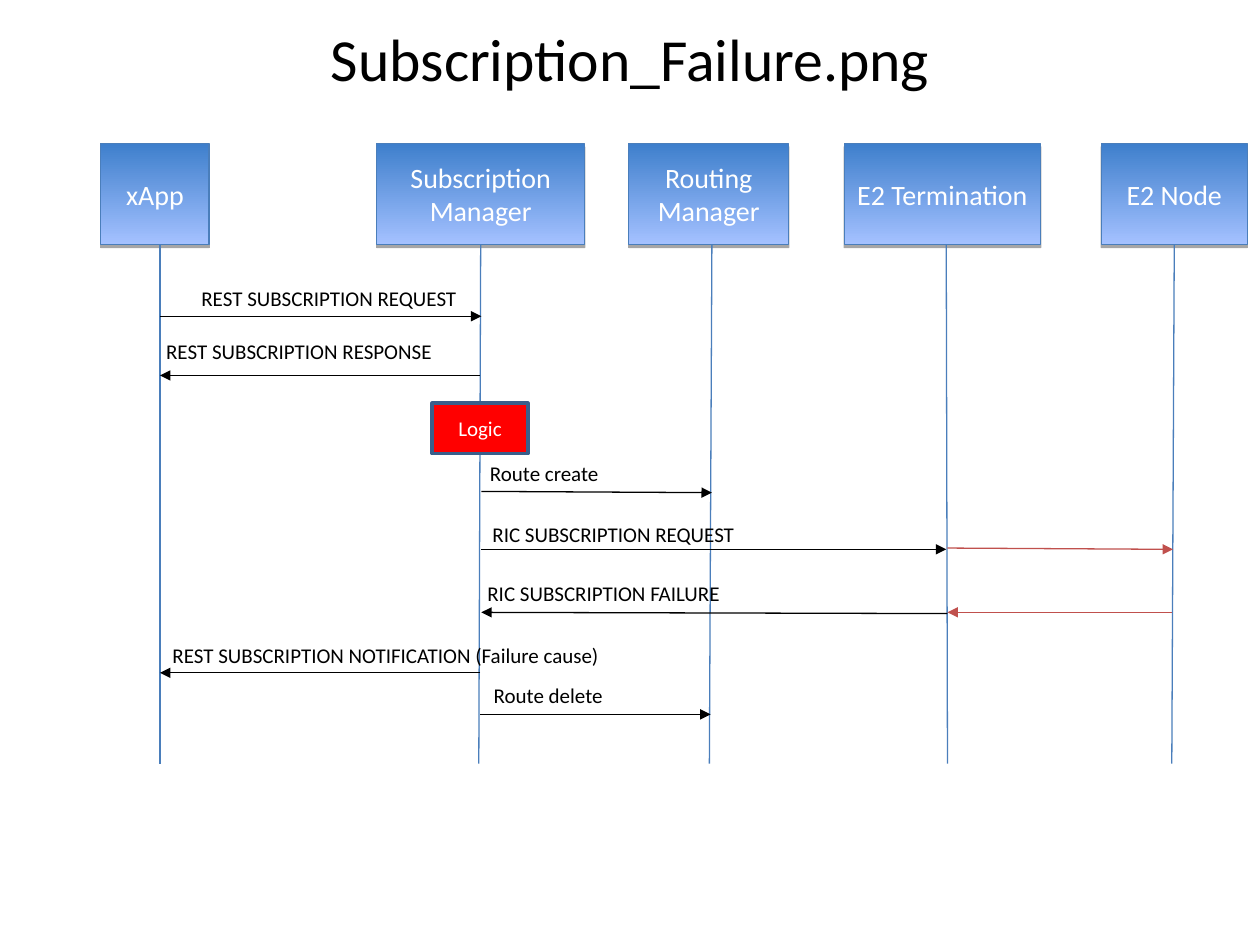
from lxml import etree
from pptx import Presentation
from pptx.dml.color import RGBColor
from pptx.enum.shapes import MSO_CONNECTOR, MSO_SHAPE
from pptx.enum.text import MSO_ANCHOR, MSO_AUTO_SIZE, PP_ALIGN
from pptx.oxml import parse_xml
from pptx.oxml.ns import nsdecls, qn
from pptx.util import Inches, Pt

STRAIGHT = MSO_CONNECTOR.STRAIGHT
RECTANGLE = MSO_SHAPE.RECTANGLE
MIDDLE = MSO_ANCHOR.MIDDLE
CENTER, LEFT = PP_ALIGN.CENTER, PP_ALIGN.LEFT
GROW, FIXED = MSO_AUTO_SIZE.SHAPE_TO_FIT_TEXT, MSO_AUTO_SIZE.NONE
BOTTOM_SIDE = 2

BLACK, WHITE, RED = "000000", "FFFFFF", "C0504D"
BLUE = "4A7EBB"
HEAD_TOP, HEAD_BOTTOM, LIFELINE_END = 1.14, 1.94, 6.06

rgb = RGBColor.from_string


def write(shape, text, size, color, align):
    """Fill a shape with text, one paragraph per line."""
    shape.text_frame.text = text
    for paragraph in shape.text_frame.paragraphs:
        paragraph.alignment = align
        paragraph.font.color.rgb = rgb(color)
        for name, value in {"name": "Calibri", "size": Pt(size), "bold": False}.items():
            setattr(paragraph.font, name, value)


def draw_line(start, end, color, arrow=False):
    """Draw a thin straight line between two points in inches."""
    line = slide.shapes.add_connector(STRAIGHT, *map(Inches, start + end))
    line.line.color.rgb = rgb(color)
    line.line.width = Pt(0.75)
    properties = line._element.spPr
    if arrow:
        outline = properties.find(qn("a:ln"))
        etree.SubElement(outline, qn("a:tailEnd"), type="triangle")
    etree.SubElement(properties, qn("a:effectLst"))
    return line


presentation = Presentation()
presentation.slide_width, presentation.slide_height = Inches(10), Inches(7.5)
slide = presentation.slides.add_slide(presentation.slide_layouts[5])

# Title
title = slide.shapes.title
title.left, title.top, title.width, title.height = map(Inches, (0.5, 0.22, 9, 0.58))
write(title, "Subscription_Failure.png", 34.1, BLACK, CENTER)
title.text_frame.paragraphs[0].line_spacing = 0.8
for name, value in {"auto_size": FIXED, "vertical_anchor": MIDDLE}.items():
    setattr(title.text_frame, name, value)

# Participants and their lifelines: name, left, width, lifeline x at top and bottom
participants = [
    ("xApp", 0.8, 0.86, 1.27, 1.27),
    ("Subscription Manager", 2.99, 1.65, 3.82, 3.8),
    ("Routing\nManager", 4.99, 1.27, 5.65, 5.63),
    ("E2 Termination", 6.7, 1.56, 7.51, 7.52),
    ("E2 Node", 8.74, 1.16, 9.31, 9.3),
]
for participant, left, width, x_top, x_bottom in participants:
    head = slide.shapes.add_shape(RECTANGLE, Inches(left), Inches(HEAD_TOP),
                                  Inches(width), Inches(HEAD_BOTTOM - HEAD_TOP))
    head.fill.gradient()
    head.fill.gradient_angle = 270
    for stop, color, position in zip(head.fill.gradient_stops, ("3E7FCC", "A4C1FF"), (0, 1)):
        stop.color.rgb = rgb(color)
        stop.position = position
    head.line.color.rgb = rgb(BLUE)
    head.line.width = Pt(0.75)
    head.shadow.inherit = False
    head._element.spPr.find(qn("a:effectLst")).append(parse_xml(
        f'<a:outerShdw {nsdecls("a")} blurRad="0" dist="{Pt(1.8)}" dir="5400000" rotWithShape="0">'
        '<a:srgbClr val="000000"><a:alpha val="35000"/></a:srgbClr></a:outerShdw>'))
    head.text_frame.word_wrap = True
    head.text_frame.vertical_anchor = MIDDLE
    write(head, participant, 16, WHITE, CENTER)

    lifeline = draw_line((x_top, HEAD_BOTTOM), (x_bottom, LIFELINE_END), BLUE)
    if abs(left + width / 2 - x_top) < 0.02:
        lifeline.begin_connect(head, BOTTOM_SIDE)

# Subscription manager logic
logic = slide.shapes.add_shape(RECTANGLE, *map(Inches, (3.43, 3.2, 0.76, 0.4)))
logic.fill.solid()
logic.fill.fore_color.rgb = rgb("FF0000")
logic.line.color.rgb = rgb("3A5F8B")
logic.line.width = Pt(2)
logic.shadow.inherit = False
logic.text_frame.vertical_anchor = MIDDLE
write(logic, "Logic", 12, WHITE, CENTER)

# Message arrows
arrows = [
    ((1.27, 2.51), (3.82, 2.51), BLACK),
    ((3.81, 2.98), (1.27, 2.98), BLACK),
    ((3.82, 3.9), (5.65, 3.91), BLACK),
    ((3.82, 4.36), (7.51, 4.36), BLACK),
    ((7.52, 4.35), (9.31, 4.36), RED),
    ((9.3, 4.86), (7.52, 4.86), RED),
    ((7.52, 4.87), (3.82, 4.86), BLACK),
    ((3.81, 5.34), (1.27, 5.34), BLACK),
    ((3.81, 5.67), (5.64, 5.67), BLACK),
]
for start, end, color in arrows:
    draw_line(start, end, color, arrow=True)

# Message labels: text, left, top, width
messages = [
    ("REST SUBSCRIPTION REQUEST", 1.5, 2.22, 2.4),
    ("REST SUBSCRIPTION RESPONSE", 1.22, 2.64, 2.91),
    ("Route create", 3.79, 3.61, 1.33),
    ("RIC SUBSCRIPTION REQUEST", 3.81, 4.09, 2.65),
    ("RIC SUBSCRIPTION FAILURE", 3.77, 4.56, 2.53),
    ("REST SUBSCRIPTION NOTIFICATION (Failure cause)", 1.27, 5.05, 4.48),
    ("Route delete", 3.82, 5.37, 1.38),
]
for message, left, top, width in messages:
    label = slide.shapes.add_textbox(*map(Inches, (left, top, width, 0.3)))
    label.text_frame.word_wrap = True
    label.text_frame.auto_size = GROW
    write(label, message, 12, BLACK, LEFT)

presentation.save("out.pptx")
